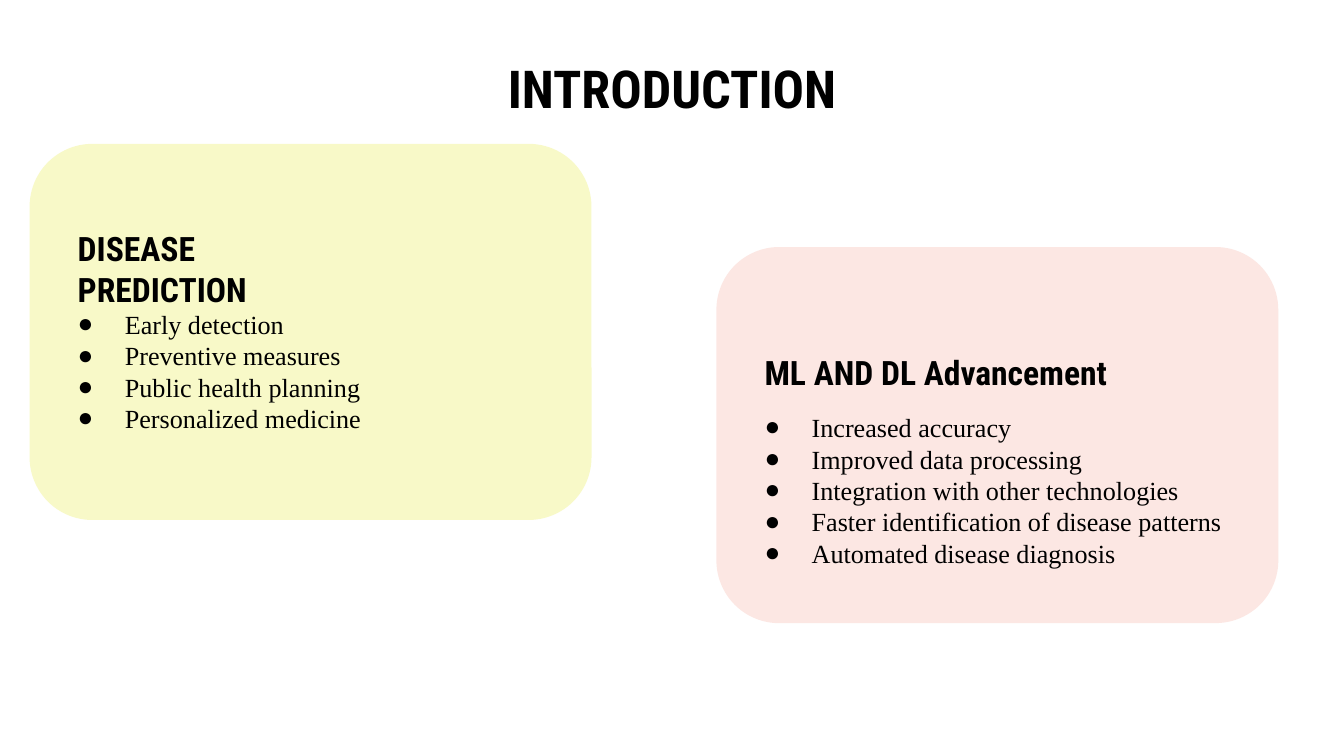
from pptx import Presentation
from pptx.dml.color import RGBColor
from pptx.enum.shapes import MSO_SHAPE as Shape
from pptx.enum.text import MSO_ANCHOR as Anchor, MSO_AUTO_SIZE as AutoSize, PP_ALIGN as Align
from pptx.oxml.ns import qn
from pptx.util import Cm, Pt
from lxml.etree import SubElement

BLACK = RGBColor(0x00, 0x00, 0x00)
YELLOW = RGBColor(0xE4, 0xEA, 0x27)
RED = RGBColor(0xEA, 0x48, 0x27)
HEADING_FONT = "Roboto Condensed"
BODY_FONT = "Times New Roman"
INSET = Cm(0.25)
INDENT = Cm(0.89)
CARD_WIDTH, CARD_HEIGHT = 10.62, 7.11


def write(para, text, *, font, size, bold=False):
    span = para.add_run()
    span.text = text
    span.font.name = font
    span.font.size = Pt(size)
    span.font.bold = bold
    span.font.color.rgb = BLACK


def prepare_frame(frame, anchor):
    frame.word_wrap = True
    frame.auto_size = AutoSize.NONE
    frame.vertical_anchor = anchor
    frame.margin_left = frame.margin_right = INSET
    frame.margin_top = frame.margin_bottom = INSET
    return frame


def add_frame(page, left, top, width, height, anchor):
    box = page.shapes.add_textbox(Cm(left), Cm(top), Cm(width), Cm(height))
    return prepare_frame(box.text_frame, anchor)


def add_bullet(para):
    props = para._p.get_or_add_pPr()
    props.set("marL", str(INDENT))
    props.set("indent", str(-INDENT))
    SubElement(props, qn("a:buFont")).set("typeface", BODY_FONT)
    SubElement(props, qn("a:buChar")).set("char", "●")


def add_title(page, text, left, top, width, height):
    title = page.shapes.title
    title.left, title.top = Cm(left), Cm(top)
    title.width, title.height = Cm(width), Cm(height)
    para = prepare_frame(title.text_frame, Anchor.MIDDLE).paragraphs[0]
    para.alignment = Align.CENTER
    write(para, text, font=HEADING_FONT, size=28, bold=True)


def add_panel(page, left, top, color, opacity):
    """Draw the tinted rounded background of a card; opacity is in percent."""
    panel = page.shapes.add_shape(Shape.ROUNDED_RECTANGLE, Cm(left), Cm(top),
                                  Cm(CARD_WIDTH), Cm(CARD_HEIGHT))
    panel.shadow.inherit = False
    panel.fill.solid()
    panel.fill.fore_color.rgb = color
    tint = panel.fill._xPr.find(qn("a:solidFill"))[0]
    SubElement(tint, qn("a:alpha")).set("val", str(opacity * 1000))
    panel.line.fill.background()


def add_card(page, left, top, color, opacity, heading, heading_width, items):
    add_panel(page, left, top, color, opacity)
    text_left = left + 0.66
    frame = add_frame(page, text_left, top + 1.88, heading_width, 0.95, Anchor.MIDDLE)
    write(frame.paragraphs[0], heading, font=HEADING_FONT, size=18, bold=True)

    frame = add_frame(page, text_left, top + 2.86, 9.3, 3.15, Anchor.TOP)
    for index, item in enumerate(items):
        para = frame.add_paragraph() if index else frame.paragraphs[0]
        add_bullet(para)
        write(para, item, font=BODY_FONT, size=14)


def main():
    deck = Presentation()
    deck.slide_width, deck.slide_height = Cm(25.4), Cm(14.29)
    page = deck.slides.add_slide(deck.slide_layouts[5])
    add_title(page, "INTRODUCTION", 1.27, 1.14, 22.86, 1.04)
    add_card(page, 13.54, 4.67, RED, 13, "ML AND DL Advancement", 8.05,
             ["Increased accuracy", "Improved data processing",
              "Integration with other technologies",
              "Faster identification of disease patterns",
              "Automated disease diagnosis"])
    add_card(page, 0.56, 2.72, YELLOW, 25, "DISEASE PREDICTION", 5.87,
             ["Early detection", "Preventive measures",
              "Public health planning", "Personalized medicine"])
    deck.save("out.pptx")


if __name__ == "__main__":
    main()
